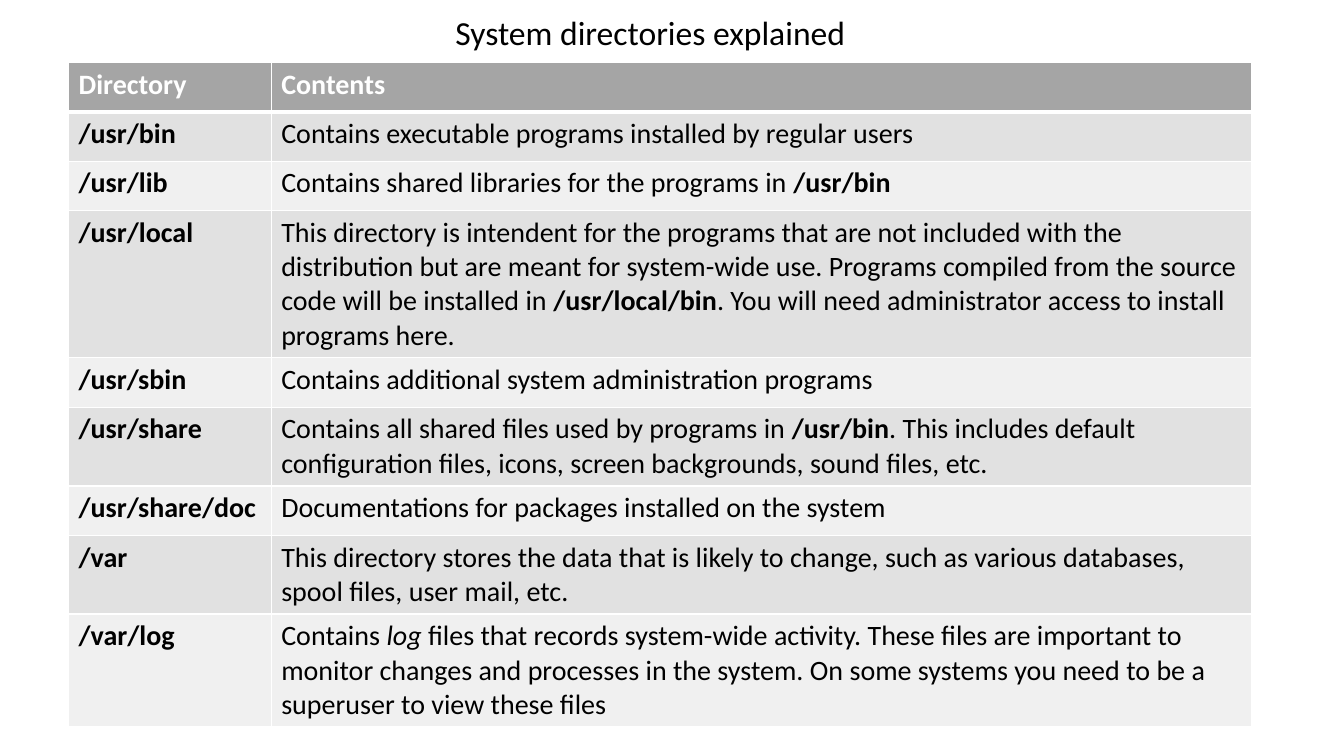
from lxml.etree import SubElement
from pptx import Presentation
from pptx.dml.color import RGBColor
from pptx.enum.text import MSO_ANCHOR, MSO_AUTO_SIZE, PP_ALIGN
from pptx.oxml.ns import qn
from pptx.util import Inches, Pt

BLACK = RGBColor(0x00, 0x00, 0x00)
WHITE = RGBColor(0xFF, 0xFF, 0xFF)
HEADER_GREY = RGBColor(0xA5, 0xA5, 0xA5)
BAND_GREYS = (RGBColor(0xE1, 0xE1, 0xE1), RGBColor(0xF0, 0xF0, 0xF0))

BOLD = {"bold": True}
ITALIC = {"italic": True}
COLUMN_WIDTHS = (2.01, 9.72)
HEADINGS = ("Directory", "Contents")
DIRECTORIES = [
    ("/usr/bin", [("Contains executable programs installed by regular users", {})]),
    ("/usr/lib", [("Contains shared libraries for the programs in ", {}),
                  ("/usr/bin", BOLD)]),
    ("/usr/local", [("This directory is intendent for the programs that are not included "
                     "with the distribution but are meant for system-wide use. Programs "
                     "compiled from the source code will be installed in ", {}),
                    ("/usr/local/bin", BOLD),
                    (". You will need administrator access to install programs here.", {})]),
    ("/usr/sbin", [("Contains additional system administration programs", {})]),
    ("/usr/share", [("Contains all shared files used by programs in ", {}),
                    ("/usr/bin", BOLD),
                    (". This includes default configuration files, icons, screen "
                     "backgrounds, sound files, etc.", {})]),
    ("/usr/share/doc", [("Documentations for packages installed on the system", {})]),
    ("/var", [("This directory stores the data that is likely to change, such as various "
               "databases, spool files, user mail, etc.", {})]),
    ("/var/log", [("Contains ", {}), ("log ", ITALIC),
                  ("files that records system-wide activity. These files are important to "
                   "monitor changes and processes in the system. On some systems you need "
                   "to be a superuser to view these files", {})]),
]


def add_text(paragraph, text, size=20, color=BLACK, bold=False, italic=False):
    run = paragraph.add_run()
    run.text = text
    font = run.font
    font.name = "Calibri"
    font.size = Pt(size)
    font.color.rgb = color
    font.bold = bold
    font.italic = italic


def add_borders(cell, **widths):
    properties = cell._tc.get_or_add_tcPr()
    for side in "LRTB":
        border = SubElement(properties, qn(f"a:ln{side}"), w=str(Pt(widths.get(side, 1))))
        fill = SubElement(border, qn("a:solidFill"))
        SubElement(fill, qn("a:srgbClr"), val=str(WHITE))


def fill_cell(cell, runs, background, **borders):
    add_borders(cell, **borders)
    cell.fill.solid()
    cell.fill.fore_color.rgb = background
    for text, style in runs:
        add_text(cell.text_frame.paragraphs[0], text, **style)


def place_title(slide, left, top, width, height):
    title = slide.shapes.title
    title.left, title.top = Inches(left), Inches(top)
    title.width, title.height = Inches(width), Inches(height)
    frame = title.text_frame
    frame.auto_size = MSO_AUTO_SIZE.NONE
    frame.word_wrap = True
    frame.vertical_anchor = MSO_ANCHOR.TOP
    heading = frame.paragraphs[0]
    heading.alignment = PP_ALIGN.CENTER
    add_text(heading, "System directories explained", size=24)


def place_directories(slide, left, top, row_height):
    row_count = len(DIRECTORIES) + 1
    table = slide.shapes.add_table(
        row_count, len(HEADINGS), Inches(left), Inches(top),
        Inches(sum(COLUMN_WIDTHS)), Inches(row_height * row_count)).table
    for column, width in zip(table.columns, COLUMN_WIDTHS):
        column.width = Inches(width)
    for column, heading in enumerate(HEADINGS):
        fill_cell(table.cell(0, column), [(heading, {"color": WHITE, **BOLD})],
                  HEADER_GREY, B=3)
    for row, (directory, contents) in enumerate(DIRECTORIES, start=1):
        background = BAND_GREYS[(row - 1) % 2]
        top_border = 3 if row == 1 else 1
        for column, runs in enumerate(([(directory, BOLD)], contents)):
            fill_cell(table.cell(row, column), runs, background, T=top_border)


def main():
    deck = Presentation()
    deck.slide_width, deck.slide_height = Inches(13.33), Inches(7.5)
    slide = deck.slides.add_slide(deck.slide_layouts[5])
    place_title(slide, left=3.95, top=0.07, width=5, height=0.5)
    place_directories(slide, left=0.68, top=0.62, row_height=0.49)
    deck.save("out.pptx")


if __name__ == "__main__":
    main()
